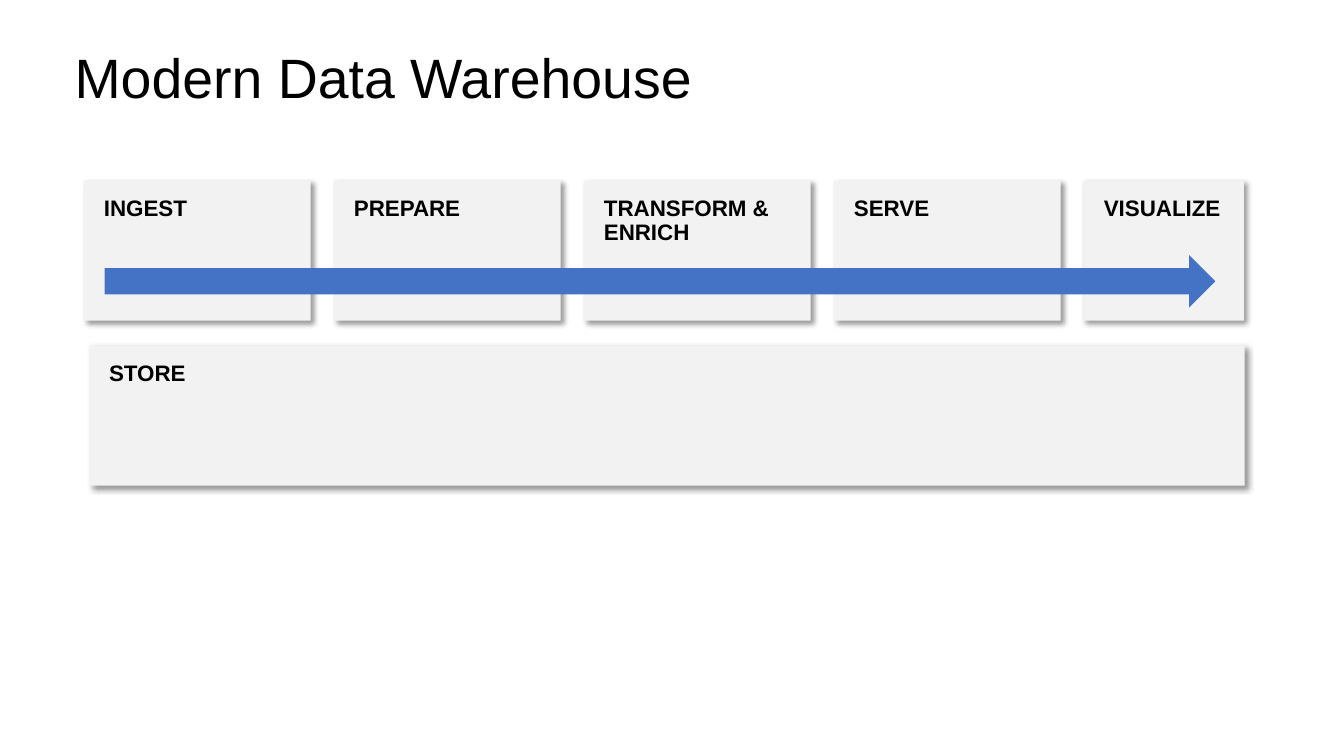
from lxml import etree
from pptx import Presentation
from pptx.dml.color import RGBColor
from pptx.enum.shapes import MSO_SHAPE
from pptx.enum.text import MSO_ANCHOR, PP_ALIGN
from pptx.oxml.ns import qn
from pptx.util import Cm, Pt

RECTANGLE = MSO_SHAPE.RECTANGLE
RIGHT_ARROW = MSO_SHAPE.RIGHT_ARROW
TOP, MIDDLE = MSO_ANCHOR.TOP, MSO_ANCHOR.MIDDLE
LEFT = PP_ALIGN.LEFT

BLACK = RGBColor(0x00, 0x00, 0x00)
PANEL_GREY = RGBColor(0xF2, 0xF2, 0xF2)
ARROW_BLUE = RGBColor(0x44, 0x72, 0xC4)
FONT = "Arial"

STAGES = ["INGEST", "PREPARE", "TRANSFORM & ENRICH", "SERVE", "VISUALIZE"]
STAGE_LEFT, STAGE_TOP, STAGE_PITCH = 2.11, 4.55, 6.3
STAGE_WIDTH, LAST_STAGE_WIDTH = 5.72, 4.04
PANEL_HEIGHT = 3.53


def write_text(shape, text, size, bold, anchor, margin_x, margin_y):
    frame = shape.text_frame
    frame.word_wrap = True
    frame.vertical_anchor = anchor
    frame.margin_left = frame.margin_right = Cm(margin_x)
    frame.margin_top = frame.margin_bottom = Cm(margin_y)
    paragraph = frame.paragraphs[0]
    paragraph.alignment = LEFT
    paragraph.line_spacing = 0.9
    run = paragraph.add_run()
    run.text = text
    run.font.name = FONT
    run.font.size = Pt(size)
    run.font.bold = bold
    run.font.color.rgb = BLACK


def add_panel(slide, label, left, top, width):
    panel = slide.shapes.add_shape(
        RECTANGLE, Cm(left), Cm(top), Cm(width), Cm(PANEL_HEIGHT))
    panel.fill.solid()
    panel.fill.fore_color.rgb = PANEL_GREY
    panel.line.fill.background()
    write_text(panel, label, 16, True, TOP, 0.51, 0.41)

    # Soft shadow towards the lower right
    panel.shadow.inherit = False
    effects = panel.element.spPr.find(qn("a:effectLst"))
    shadow = etree.SubElement(
        effects, qn("a:outerShdw"), blurRad=str(Pt(4)), dist=str(Pt(3)),
        dir=str(45 * 60000), algn="tl", rotWithShape="0")
    color = etree.SubElement(shadow, qn("a:srgbClr"), val=str(BLACK))
    etree.SubElement(color, qn("a:alpha"), val="40000")


presentation = Presentation()
presentation.slide_width = Cm(33.87)
presentation.slide_height = Cm(19.05)
slide = presentation.slides.add_slide(presentation.slide_layouts[5])

# Title
title = slide.shapes.title
title.left, title.top = Cm(1.63), Cm(1.27)
title.width, title.height = Cm(30.61), Cm(1.5)
write_text(title, "Modern Data Warehouse", 39.6, False, MIDDLE, 0.25, 0.13)

# Storage layer
add_panel(slide, "STORE", 2.24, 8.71, 29.13)

# Pipeline stages
for index, stage in enumerate(STAGES):
    width = LAST_STAGE_WIDTH if stage == STAGES[-1] else STAGE_WIDTH
    add_panel(slide, stage, STAGE_LEFT + index * STAGE_PITCH, STAGE_TOP, width)

# Flow arrow across the stages
arrow = slide.shapes.add_shape(
    RIGHT_ARROW, Cm(2.64), Cm(6.43), Cm(27.99), Cm(1.32))
arrow.fill.solid()
arrow.fill.fore_color.rgb = ARROW_BLUE
arrow.line.fill.background()
arrow.shadow.inherit = False

presentation.save("out.pptx")
